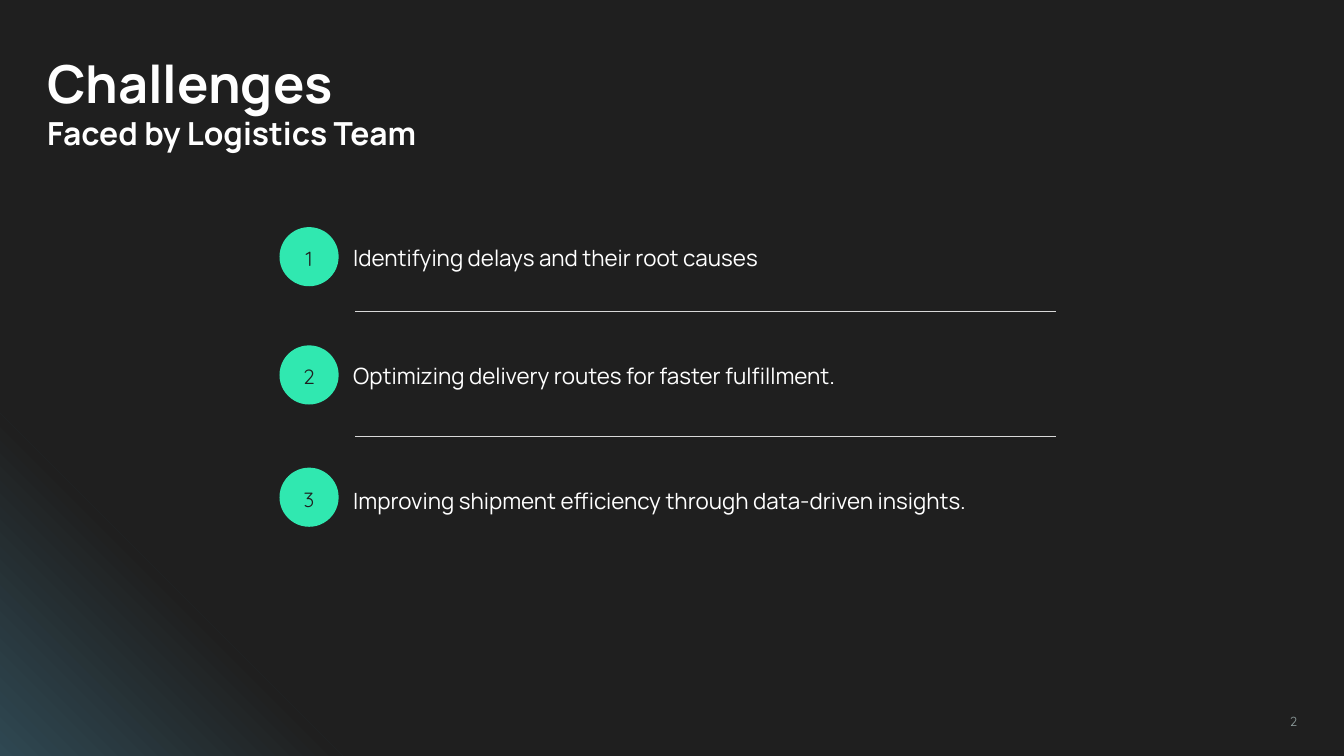
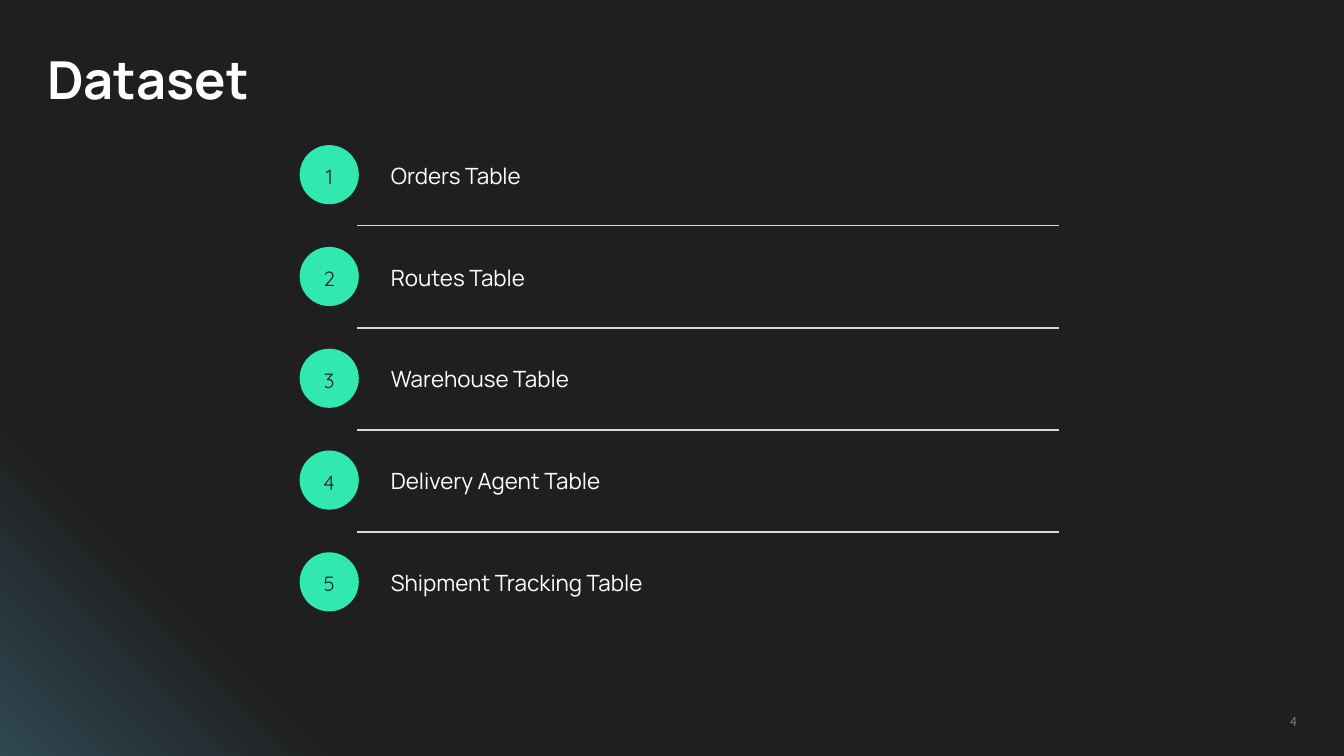
from lxml import etree
from pptx import Presentation
from pptx.dml.color import RGBColor
from pptx.enum.shapes import MSO_CONNECTOR, MSO_SHAPE
from pptx.enum.text import MSO_ANCHOR, MSO_AUTO_SIZE, PP_ALIGN
from pptx.oxml.ns import qn
from pptx.util import Inches, Pt

PILL, TRIANGLE = MSO_SHAPE.ROUNDED_RECTANGLE, MSO_SHAPE.RIGHT_TRIANGLE
STRAIGHT = MSO_CONNECTOR.STRAIGHT
TOP, MIDDLE = MSO_ANCHOR.TOP, MSO_ANCHOR.MIDDLE
LEFT, CENTER, RIGHT = PP_ALIGN.LEFT, PP_ALIGN.CENTER, PP_ALIGN.RIGHT
NO_FIT = MSO_AUTO_SIZE.NONE

WIDTH = 10
HEIGHT = WIDTH * 9 / 16
DARK, WHITE, MINT = "1F1F1F", "FFFFFF", "30E8B0"
RULE_GRAY, PAGE_GRAY, GLOW_BLUE = "D9D9D9", "93A2A2", "2F4852"
TEXT_FONT, NUMBER_FONT = "Manrope", "Quicksand"
MARGIN, BADGE, LABEL_HEIGHT, RULE_LENGTH = 0.25, 0.44, 0.5, 5.22
TITLE_SIZES = (28, 17)
GLOW_SIDE = 2.55


def spread(first, last, count):
    return [first + (last - first) * row / (count - 1) for row in range(count)]


SLIDES = [
    {
        "title": ["Challenges", "Faced by Logistics Team"],
        "title_box": (0.28, 0.96),
        "page": "2",
        "items": [
            "Identifying delays and their root causes",
            "Optimizing delivery routes for faster fulfillment.",
            "Improving shipment efficiency through data-driven insights.",
        ],
        "item_tops": [1.69, 2.57, 3.48],
        "label_tops": [1.65, 2.53, 3.46],
        "rule_tops": [2.32, 3.25],
        "columns": {"badge": 2.08, "label": 2.53, "rule": 2.64},
        "label_width": 5.33,
    },
    {
        "title": ["Dataset"],
        "title_box": (0.25, 0.67),
        "page": "4",
        "items": [
            "Orders Table",
            "Routes Table",
            "Warehouse Table",
            "Delivery Agent Table",
            "Shipment Tracking Table",
        ],
        "item_tops": spread(1.08, 4.11, 5),
        "label_tops": spread(1.04, 4.07, 5),
        "rule_tops": spread(1.68, 3.96, 4),
        "columns": {"badge": 2.23, "label": 2.81, "rule": 2.66},
        "label_width": 4.22,
    },
]


def color(value):
    return RGBColor.from_string(value)


def box(left, top, width, height):
    return [Inches(length) for length in (left, top, width, height)]


def write(shape, lines, sizes, font, ink, align=LEFT, anchor=MIDDLE, spacing=1.0, bold=False):
    frame = shape.text_frame
    frame.text = "\n".join(lines)
    frame.word_wrap = True
    frame.auto_size = NO_FIT
    frame.vertical_anchor = anchor
    frame.margin_left = frame.margin_right = Inches(0.1)
    frame.margin_top = frame.margin_bottom = Inches(0.1)
    for paragraph, size in zip(frame.paragraphs, sizes):
        paragraph.alignment = align
        paragraph.line_spacing = spacing
        for run in paragraph.runs:
            run.font.name = font
            run.font.size = Pt(size)
            run.font.bold = bold
            run.font.color.rgb = color(ink)


def add_plain(slide, kind, *place):
    shape = slide.shapes.add_shape(kind, *box(*place))
    shape.shadow.inherit = False
    shape.line.fill.background()
    return shape


def add_glow(slide):
    glow = add_plain(slide, TRIANGLE, 0, HEIGHT - GLOW_SIDE, GLOW_SIDE, GLOW_SIDE)
    glow.fill.gradient()
    glow.fill.gradient_angle = 45
    for stop, (position, tint) in zip(glow.fill.gradient_stops, [(0, GLOW_BLUE), (0.5, DARK)]):
        stop.position = position
        stop.color.rgb = color(tint)


def add_rule(slide, left, top):
    rule = slide.shapes.add_connector(
        STRAIGHT, Inches(left), Inches(top), Inches(left + RULE_LENGTH), Inches(top)
    )
    rule.line.color.rgb = color(RULE_GRAY)
    rule.line.width = Pt(0.75)
    etree.SubElement(rule._element.spPr, qn("a:effectLst"))


def add_badge(slide, number, left, top):
    badge = add_plain(slide, PILL, left, top, BADGE, BADGE)
    badge.adjustments[0] = 0.5
    badge.fill.solid()
    badge.fill.fore_color.rgb = color(MINT)
    write(badge, [str(number)], [11], NUMBER_FONT, DARK, CENTER, spacing=1.15)


def add_label(slide, label, left, top, width):
    text = slide.shapes.add_textbox(*box(left, top, width, LABEL_HEIGHT))
    write(text, [label], [12], TEXT_FONT, WHITE, spacing=1.15)


def add_slide(deck, content):
    slide = deck.slides.add_slide(deck.slide_layouts.get_by_name("Title Only"))
    add_glow(slide)
    title = slide.shapes.title
    title_top, title_height = content["title_box"]
    title.left, title.top, title.width, title.height = box(MARGIN, title_top, 3.2, title_height)
    write(title, content["title"], TITLE_SIZES, TEXT_FONT, WHITE, anchor=TOP, bold=True)
    page = slide.shapes.add_textbox(*box(WIDTH - MARGIN - 2.4, 5.21, 2.4, 0.32))
    write(page, [content["page"]], [7], NUMBER_FONT, PAGE_GRAY, RIGHT, TOP)
    columns = content["columns"]
    for number, top in enumerate(content["item_tops"], 1):
        add_badge(slide, number, columns["badge"], top)
    for label, top in zip(content["items"], content["label_tops"]):
        add_label(slide, label, columns["label"], top, content["label_width"])
    for top in content["rule_tops"]:
        add_rule(slide, columns["rule"], top)


def main():
    deck = Presentation()
    deck.slide_width, deck.slide_height = Inches(WIDTH), Inches(HEIGHT)
    backdrop = deck.slide_master.background.fill
    backdrop.solid()
    backdrop.fore_color.rgb = color(DARK)
    for content in SLIDES:
        add_slide(deck, content)
    deck.save("out.pptx")


if __name__ == "__main__":
    main()
